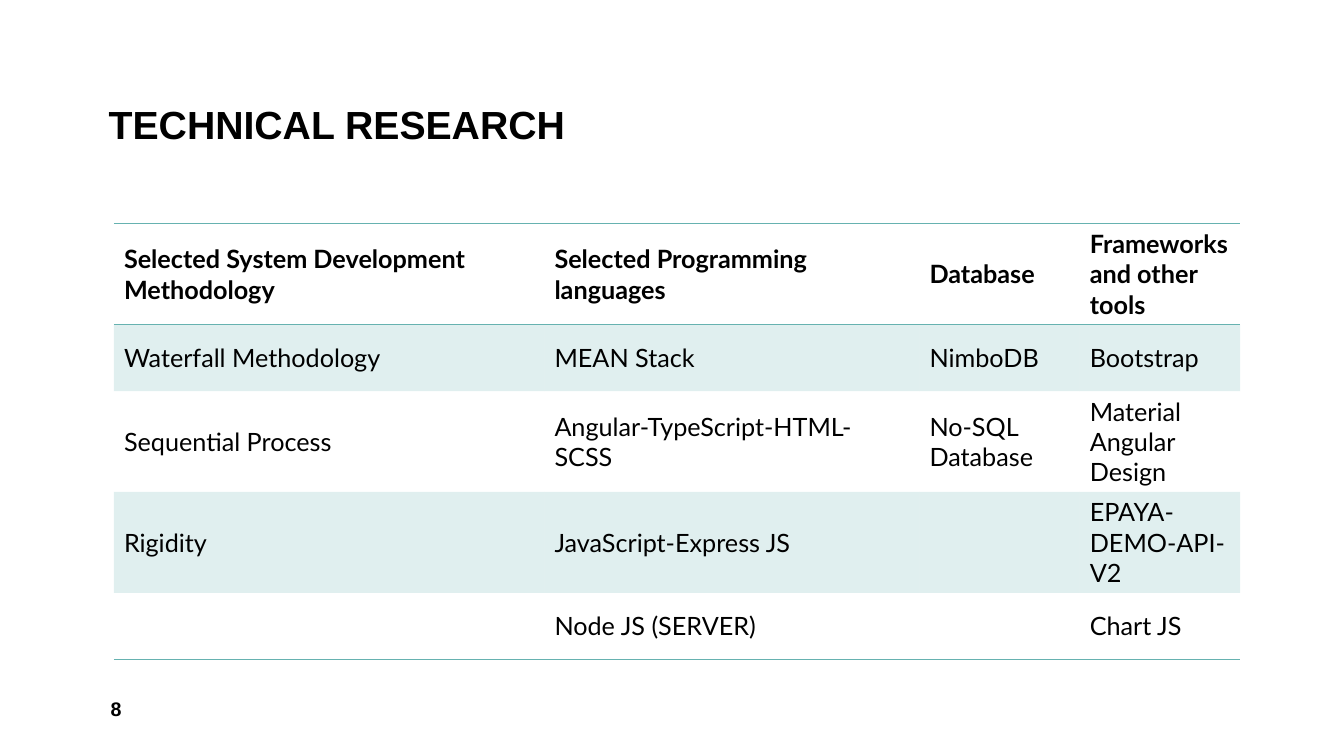
from lxml.etree import SubElement
from pptx import Presentation
from pptx.dml.color import RGBColor
from pptx.enum.text import MSO_ANCHOR
from pptx.oxml.ns import qn
from pptx.util import Emu, Pt

EMU_PER_PX = 9144  # 100 px to the inch
BLACK = "000000"
TEAL = "66B2B0"
NO_TABLE_STYLE = "{2D5ABB26-0587-4C30-8999-92F81FD0307C}"

COLUMN_WIDTHS = [427, 372, 159, 159]
ROW_HEIGHTS = [100, 66, 100, 100, 66]
RESEARCH_ROWS = [
    ["Selected System Development Methodology", "Selected Programming languages",
     "Database", "Frameworks and other tools"],
    ["Waterfall Methodology", "MEAN Stack", "NimboDB", "Bootstrap"],
    ["Sequential Process", "Angular-TypeScript-HTML-SCSS", "No-SQL Database",
     "Material Angular Design"],
    ["Rigidity", "JavaScript-Express JS", "", "EPAYA-DEMO-API-V2"],
    ["", "Node JS (SERVER)", "", "Chart JS"],
]


def px(length):
    return Emu(length * EMU_PER_PX)


def color(hex_string):
    return RGBColor.from_string(hex_string)


def write_text(text_frame, text, font="Arial", size=18, bold=False, line_spacing=None):
    paragraph = text_frame.paragraphs[0]
    paragraph.line_spacing = line_spacing
    run = paragraph.add_run()
    run.text = text
    run.font.name = font
    run.font.size = Pt(size)
    run.font.bold = bold
    run.font.color.rgb = color(BLACK)


def add_text(slide, box, text, anchor, **text_format):
    shape = slide.shapes.add_textbox(*map(px, box))
    shape.text_frame.word_wrap = True
    shape.text_frame.vertical_anchor = anchor
    write_text(shape.text_frame, text, **text_format)


def add_border(cell, side):
    """Draw a 1 pt teal line on one side; call it before filling the cell."""
    line = SubElement(cell._tc.get_or_add_tcPr(), qn(f"a:{side}"), w=str(Pt(1)))
    fill = SubElement(line, qn("a:solidFill"))
    SubElement(fill, qn("a:srgbClr"), val=TEAL)


def fill_cell(cell, shaded):
    """Give a shaded cell a teal fill at 20% opacity, and any other none."""
    if not shaded:
        cell.fill.background()
        return
    cell.fill.solid()
    cell.fill.fore_color.rgb = color(TEAL)
    teal = cell._tc.tcPr.find(f"{qn('a:solidFill')}/{qn('a:srgbClr')}")
    SubElement(teal, qn("a:alpha"), val="20000")


def add_research_table(slide, left, top):
    row_count = len(RESEARCH_ROWS)
    frame = slide.shapes.add_table(
        row_count, len(COLUMN_WIDTHS), px(left), px(top),
        px(sum(COLUMN_WIDTHS)), px(sum(ROW_HEIGHTS)))
    table = frame.table
    table._tbl.tblPr.find(qn("a:tableStyleId")).text = NO_TABLE_STYLE
    table.horz_banding = False
    for column, width in zip(table.columns, COLUMN_WIDTHS):
        column.width = px(width)
    for row_index, texts in enumerate(RESEARCH_ROWS):
        table.rows[row_index].height = px(ROW_HEIGHTS[row_index])
        is_header = row_index == 0
        for column_index, text in enumerate(texts):
            cell = table.cell(row_index, column_index)
            cell.vertical_anchor = MSO_ANCHOR.MIDDLE
            if is_header:
                add_border(cell, "lnT")
            if is_header or row_index == row_count - 1:
                add_border(cell, "lnB")
            fill_cell(cell, shaded=row_index % 2 == 1)
            if text:
                write_text(cell.text_frame, text, font="Lato", bold=is_header)


def main():
    presentation = Presentation()
    presentation.slide_width = px(1333)
    presentation.slide_height = px(750)
    slide = presentation.slides.add_slide(presentation.slide_layouts[6])
    add_text(slide, (98, 15, 675, 137), "TECHNICAL RESEARCH", MSO_ANCHOR.BOTTOM,
             size=28, bold=True, line_spacing=0.9)
    add_research_table(slide, 113, 222)
    add_text(slide, (100, 683, 130, 40), "8", MSO_ANCHOR.MIDDLE, size=14, bold=True)
    presentation.save("out.pptx")


if __name__ == "__main__":
    main()
